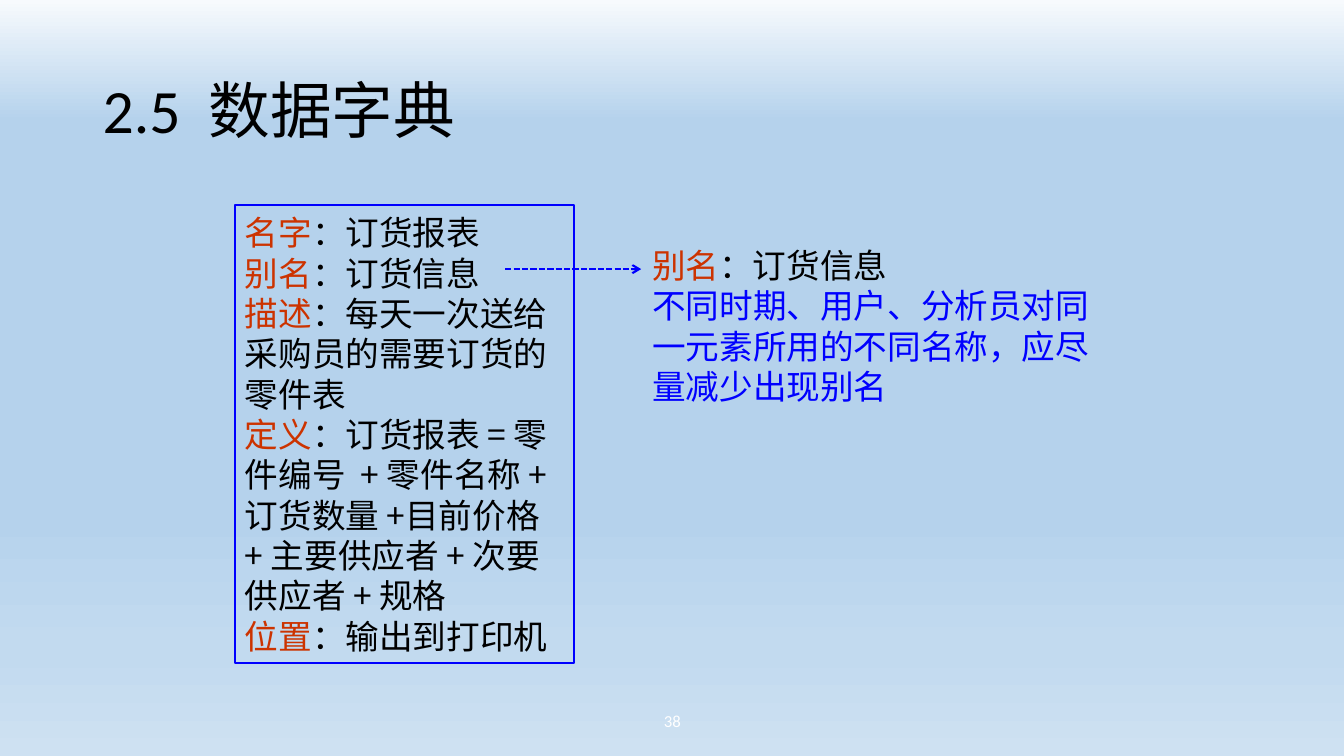
from dataclasses import dataclass

import pptx
import pptx.dml.color
import pptx.enum.dml
import pptx.enum.shapes
import pptx.enum.text
import pptx.oxml.ns
import pptx.oxml.xmlchemy
import pptx.util
from pptx.util import Inches

qn = pptx.oxml.ns.qn
new_element = pptx.oxml.xmlchemy.OxmlElement
ANCHOR = pptx.enum.text.MSO_ANCHOR
ALIGN = pptx.enum.text.PP_ALIGN


@dataclass(frozen=True)
class Theme:
    black: str = "000000"
    white: str = "FFFFFF"
    blue: str = "0000FF"
    red: str = "CC3300"
    sky: tuple = ((0, "F7FAFD"), (16, "B5D2EC"), (71, "B8D4ED"),
                  (86, "C2DAEF"), (100, "CEE1F2"))
    latin: str = "Calibri"
    cjk: str = "Noto Sans CJK SC"
    title: int = 44
    body: int = 24
    number: int = 12
    line: float = 1.5


T = Theme()

ENTRY = (
    ("名字", "：订货报表"),
    ("别名", "：订货信息"),
    ("描述", "：每天一次送给采购员的需要订货的零件表"),
    ("定义", "：订货报表 = 零件编号  + 零件名称 + 订货数量 +目前价格"
             " + 主要供应者 + 次要供应者 + 规格"),
    ("位置", "：输出到打印机"),
)
ALIAS_NOTE = "不同时期、用户、分析员对同一元素所用的不同名称，应尽量减少出现别名"


def rgb(color):
    return pptx.dml.color.RGBColor.from_string(color)


def set_background(s):
    fill = s.background.fill
    fill.gradient()
    fill.gradient_angle = 270
    stops = next(s.element.iter(qn("a:gsLst")))
    for stop in list(stops):
        stops.remove(stop)
    for percent, color in T.sky:
        stop = new_element("a:gs")
        stop.set("pos", str(percent * 1000))
        clr = new_element("a:srgbClr")
        clr.set("val", color)
        stop.append(clr)
        stops.append(stop)


def add_run(p, text, size, color, font):
    r = p.add_run()
    r.text = text
    r.font.size = pptx.util.Pt(size)
    r.font.name = font
    r.font.color.rgb = rgb(color)
    ea = new_element("a:ea")
    ea.set("typeface", T.cjk)
    r.font._element.find(qn("a:latin")).addnext(ea)


def write(sp, paragraphs, size, font, anchor=ANCHOR.TOP, align=ALIGN.LEFT):
    """Fill a shape with paragraphs, each a list of (text, colour) runs."""
    tf = sp.text_frame
    tf.word_wrap = True
    tf.vertical_anchor = anchor
    for i, runs in enumerate(paragraphs):
        p = tf.paragraphs[0] if i == 0 else tf.add_paragraph()
        p.alignment = align
        for text, color in runs:
            add_run(p, text, size, color, font)
    return tf


def add_text(s, box, *args, **kwargs):
    sp = s.shapes.add_textbox(*map(Inches, box))
    return write(sp, *args, **kwargs)


def add_frame(s, box, paragraphs):
    sp = s.shapes.add_shape(pptx.enum.shapes.MSO_SHAPE.RECTANGLE, *map(Inches, box))
    sp.shadow.inherit = False
    sp.fill.background()
    sp.line.color.rgb = rgb(T.blue)
    sp.line.width = pptx.util.Pt(T.line)
    write(sp, paragraphs, T.body, T.cjk, anchor=ANCHOR.MIDDLE)


def add_arrow(s, x1, y1, x2, y2):
    cn = s.shapes.add_connector(pptx.enum.shapes.MSO_CONNECTOR.STRAIGHT,
                                *map(Inches, (x1, y1, x2, y2)))
    cn.line.color.rgb = rgb(T.blue)
    cn.line.width = pptx.util.Pt(T.line)
    cn.line.dash_style = pptx.enum.dml.MSO_LINE.SQUARE_DOT
    head = new_element("a:tailEnd")
    head.set("type", "arrow")
    sp_pr = cn._element.spPr
    sp_pr.find(qn("a:ln")).append(head)
    sp_pr.append(new_element("a:effectLst"))


def labelled(label, text):
    return [(label, T.red), (text, T.black)]


def main():
    prs = pptx.Presentation()
    prs.slide_width, prs.slide_height = Inches(13.33), Inches(7.5)
    s = prs.slides.add_slide(prs.slide_layouts[6])
    set_background(s)

    title = add_text(s, (0.92, 0.4, 11.5, 1.45), [[("2.5  数据字典", T.black)]],
                     T.title, T.latin, anchor=ANCHOR.MIDDLE)
    title.paragraphs[0].line_spacing = 0.9
    add_text(s, (4.42, 6.95, 4.5, 0.4), [[("38", T.white)]],
             T.number, T.latin, anchor=ANCHOR.MIDDLE, align=ALIGN.CENTER)

    add_frame(s, (2.33, 2.03, 3.36, 4.55), [labelled(*field) for field in ENTRY])
    add_text(s, (6.37, 2.38, 4.71, 1.72),
             [labelled(*ENTRY[1]), [(ALIAS_NOTE, T.blue)]], T.body, T.cjk)
    add_arrow(s, 5.01, 2.67, 6.36, 2.67)

    prs.save("out.pptx")


if __name__ == "__main__":
    main()
